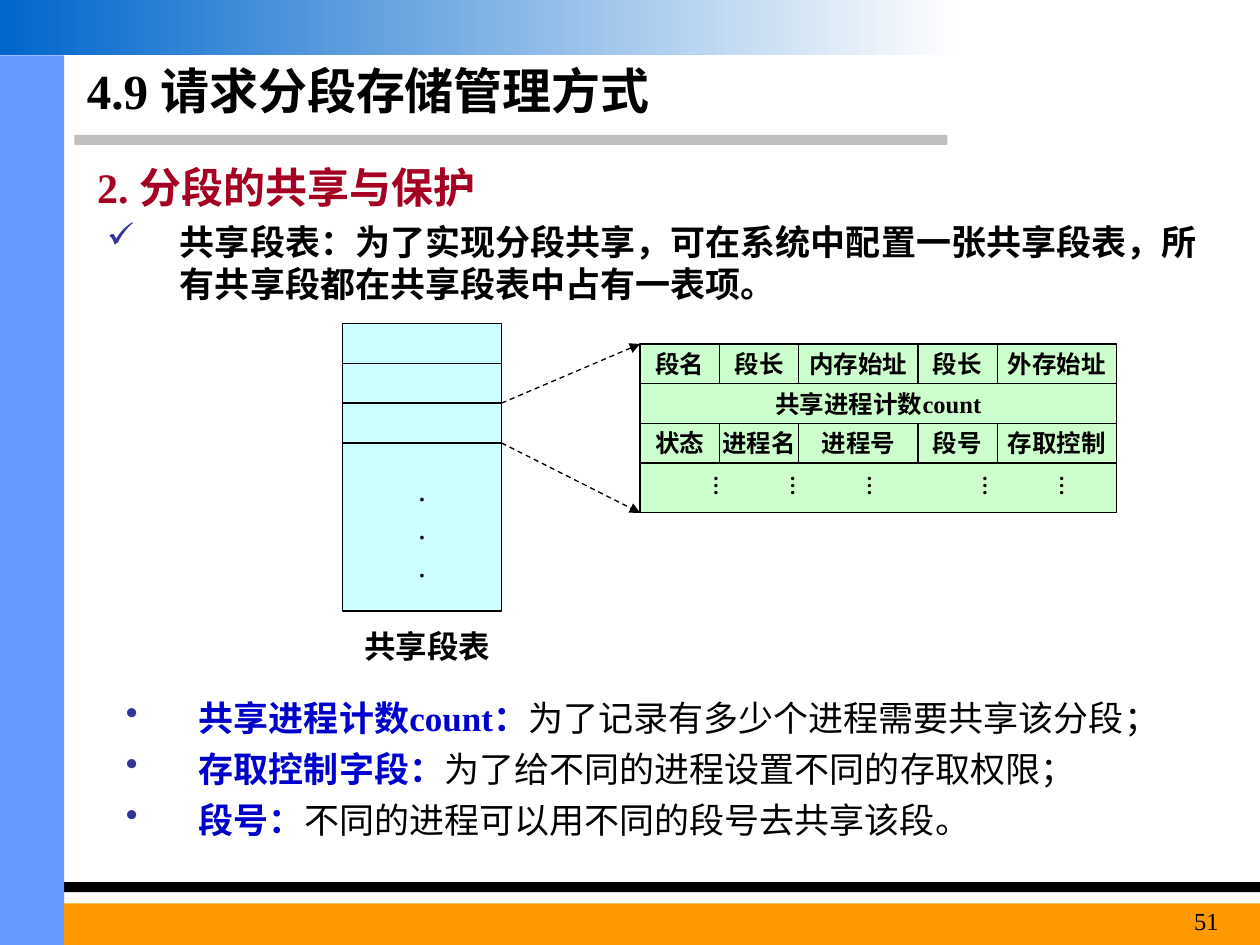
from itertools import accumulate

from lxml import etree
from pptx import Presentation
from pptx import util as u
from pptx.dml.color import RGBColor
from pptx.enum import dml, shapes, text
from pptx.oxml import ns

INK = {
    "black": "000000", "white": "FEFEFE", "grey": "C0C0C0", "side": "6699FF",
    "foot": "FF9900", "top": "0066CC", "red": "A50021", "bullet": "333399",
    "key": "0000CC", "cyan": "CCFFFF", "green": "CCFFCC",
}
FACE = "Times New Roman"
ROW = 0.315
HEAD = ["段名", "段长", "内存始址", "段长", "外存始址"]
BODY = ["状态", "进程名", "进程号", "段号", "存取控制"]
NOTES = [
    ("共享进程计数count：", "为了记录有多少个进程需要共享该分段；"),
    ("存取控制字段：", "为了给不同的进程设置不同的存取权限；"),
    ("段号：", "不同的进程可以用不同的段号去共享该段。"),
]


def tint(name):
    """Return the named colour."""
    return RGBColor.from_string(INK[name])


def child(node, tag, **attrs):
    """Append a drawing element to a node."""
    return etree.SubElement(node, ns.qn("a:" + tag), attrs)


def write(para, words, size, color="black", bold=True):
    """Add one run to a paragraph."""
    run = para.add_run()
    run.text = words
    font = run.font
    font.name, font.size, font.bold = FACE, u.Pt(size), bold
    font.color.rgb = tint(color)


def rect(slide, box, fill, edge=False):
    """Add a flat rectangle, with a thin black edge if asked."""
    shape = slide.shapes.add_shape(shapes.MSO_SHAPE.RECTANGLE, *map(u.Inches, box))
    shape.shadow.inherit = False
    shape.fill.solid()
    shape.fill.fore_color.rgb = tint(fill)
    if edge:
        shape.line.color.rgb = tint("black")
        shape.line.width = u.Pt(0.75)
    else:
        shape.line.fill.background()
    return shape


def label(slide, box):
    """Add a wrapping text box and return its frame."""
    frame = slide.shapes.add_textbox(*map(u.Inches, box)).text_frame
    frame.word_wrap = True
    return frame


def cell(slide, box, fill, lines=(), size=14, bold=True):
    """Add an edged cell with centred lines."""
    frame = rect(slide, box, fill, True).text_frame
    frame.word_wrap = False
    frame.vertical_anchor = text.MSO_ANCHOR.MIDDLE
    for i, words in enumerate(lines):
        para = frame.add_paragraph() if i else frame.paragraphs[0]
        para.alignment = text.PP_ALIGN.CENTER
        write(para, words, size, bold=bold)


def frame_bars(slide, wide, high):
    """Draw the bars along the edges of the slide."""
    side, top = 0.51, 0.44
    rect(slide, (0.59, 1.07, 6.93, 0.08), "grey")
    rect(slide, (0, 7, wide, 0.08), "black")
    rect(slide, (0, top, side, high - top), "side")
    rect(slide, (side, 7.17, wide - side, 0.33), "foot")
    fill = rect(slide, (0, 0, 7.6, top), "top").fill
    fill.gradient()
    fill.gradient_angle = 0
    for stop, name, place in zip(fill.gradient_stops, ("top", "white"), (0, 1)):
        stop.color.rgb = tint(name)
        stop.position = place


def title(slide, box):
    """Place and format the slide title."""
    shape = slide.shapes.title
    shape.left, shape.top, shape.width, shape.height = map(u.Inches, box)
    frame = shape.text_frame
    frame.auto_size = text.MSO_AUTO_SIZE.NONE
    frame.vertical_anchor = text.MSO_ANCHOR.MIDDLE
    para = frame.paragraphs[0]
    para.alignment = text.PP_ALIGN.LEFT
    write(para, "4.9 请求分段存储管理方式", 28)


def heading(slide, box):
    """Write the section heading."""
    frame = label(slide, box)
    frame.margin_left = u.Inches(0.18)
    write(frame.paragraphs[0], "2. 分段的共享与保护", 24, "red")


def points(slide, box, mark, items):
    """Write a bulleted list, each item being runs of words, colour and weight."""
    frame = label(slide, box)
    for i, runs in enumerate(items):
        para = frame.add_paragraph() if i else frame.paragraphs[0]
        props = para._p.get_or_add_pPr()
        props.set("marL", str(u.Inches(0.58)))
        props.set("indent", str(u.Inches(-0.58)))
        child(child(props, "buClr"), "srgbClr", val=INK["bullet"])
        child(props, "buChar", char=mark)
        if i:
            para.space_before = u.Pt(5)
        for words, color, bold in runs:
            write(para, words, 20, color, bold)


def stack(slide, box):
    """Draw the shared segment table with its caption."""
    left, top, wide, high = box
    for i in range(3):
        cell(slide, (left, top + i * ROW, wide, ROW), "cyan")
    rest = 3 * ROW
    cell(slide, (left, top + rest, wide, high - rest), "cyan", "...", 18, False)
    para = label(slide, (left, top + high + 0.08, 1.34, 0.4)).paragraphs[0]
    para.alignment = text.PP_ALIGN.CENTER
    write(para, "共享段表", 18)


def entry(slide, box):
    """Draw the fields of one table entry."""
    left, top, wide, high = box
    parts = [2, 2, 3, 2, 3]
    unit = wide / sum(parts)
    starts = accumulate([0] + parts[:-1])
    for start, part, *names in zip(starts, parts, HEAD, BODY):
        for row, name in zip((0, 2), names):
            place = (left + start * unit, top + row * ROW, part * unit, ROW)
            cell(slide, place, "green", [name])
    cell(slide, (left, top + ROW, wide, ROW), "green", ["共享进程计数count"])
    dots(slide, (left, top + 3 * ROW, wide, high - 3 * ROW))


def dots(slide, box):
    """Draw the last row, with vertical ellipses from right to left."""
    shape = rect(slide, box, "green", True)
    shape.element.xpath(".//a:bodyPr")[0].set("vert", "eaVert")
    frame = shape.text_frame
    frame.vertical_anchor = text.MSO_ANCHOR.TOP
    frame.margin_left, frame.margin_right = u.Inches(0.05), u.Inches(0.41)
    frame.margin_top = frame.margin_bottom = u.Inches(0.1)
    for gap in (0, 29.5, 51.5, 29.5, 29.5):
        para = frame.add_paragraph() if gap else frame.paragraphs[0]
        para.alignment = text.PP_ALIGN.LEFT
        if gap:
            para.space_before = u.Pt(gap)
        write(para, "…", 12)


def arrow(slide, start, end):
    """Draw a dashed arrow."""
    link = slide.shapes.add_connector(
        shapes.MSO_CONNECTOR.STRAIGHT, *map(u.Inches, start + end))
    link.line.color.rgb = tint("black")
    link.line.width = u.Pt(0.75)
    link.line.dash_style = dml.MSO_LINE.DASH
    child(link.line._get_or_add_ln(), "tailEnd", type="triangle")
    child(link.element.spPr, "effectLst")


def number(slide, box):
    """Write the slide number."""
    para = label(slide, box).paragraphs[0]
    para.alignment = text.PP_ALIGN.RIGHT
    write(para, "51", 14, bold=False)


def main():
    """Build and save the slide."""
    deck = Presentation()
    deck.slide_width, deck.slide_height = u.Inches(10), u.Inches(7.5)
    slide = deck.slides.add_slide(deck.slide_layouts[5])
    frame_bars(slide, 10, 7.5)
    title(slide, (0.59, 0.44, 6.85, 0.55))
    heading(slide, (0.59, 1.23, 7.95, 0.5))
    lead = "共享段表：为了实现分段共享，可在系统中配置一张共享段表，所有共享段都在共享段表中占有一表项。"
    points(slide, (0.75, 1.7, 8.9, 0.79), "✓", [[(lead, "black", True)]])
    stack(slide, (2.72, 2.57, 1.26, 2.28))
    entry(slide, (5.08, 2.73, 3.78, 1.34))
    arrow(slide, (3.98, 2.57 + 2 * ROW), (5.08, 2.73))
    arrow(slide, (3.98, 2.57 + 3 * ROW), (5.08, 4.07))
    notes = [[(key, "key", True), (rest, "black", False)] for key, rest in NOTES]
    points(slide, (0.9, 5.48, 8.54, 1.26), "•", notes)
    number(slide, (8.86, 7.14, 0.91, 0.36))
    deck.save("out.pptx")


if __name__ == "__main__":
    main()
